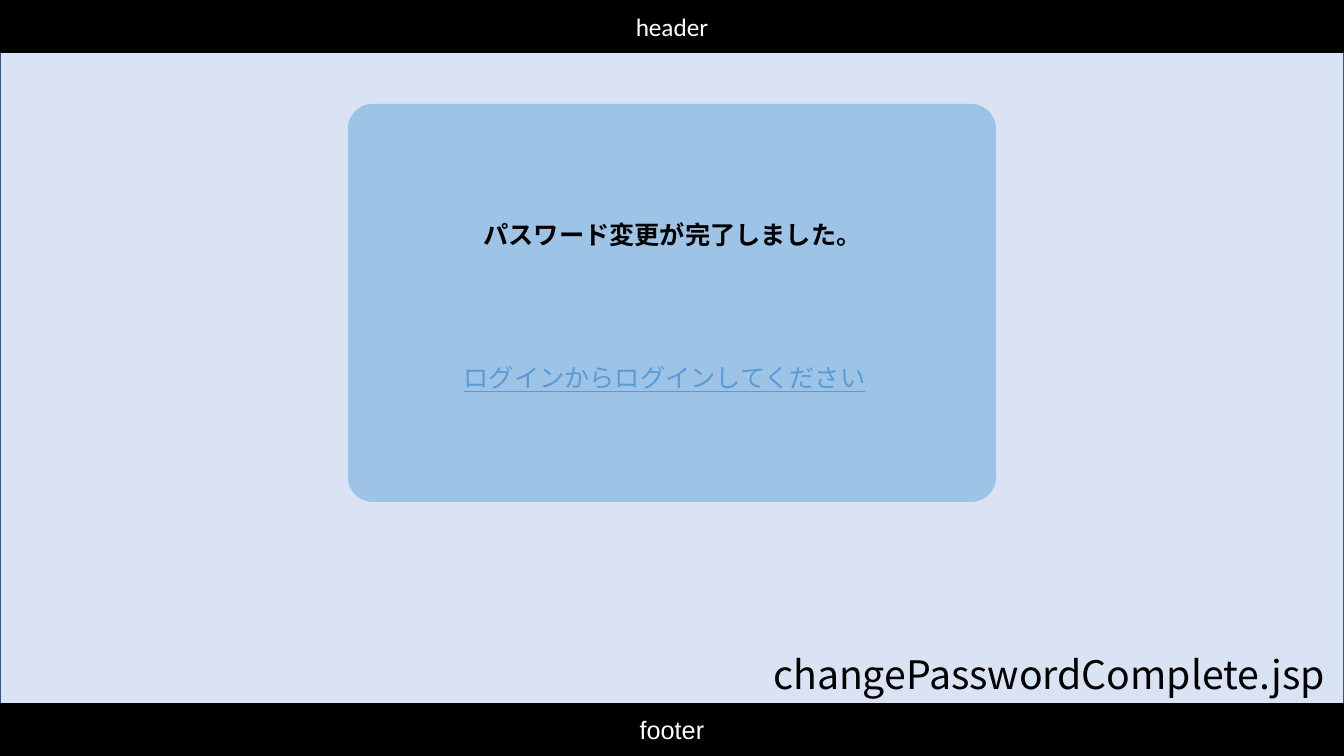
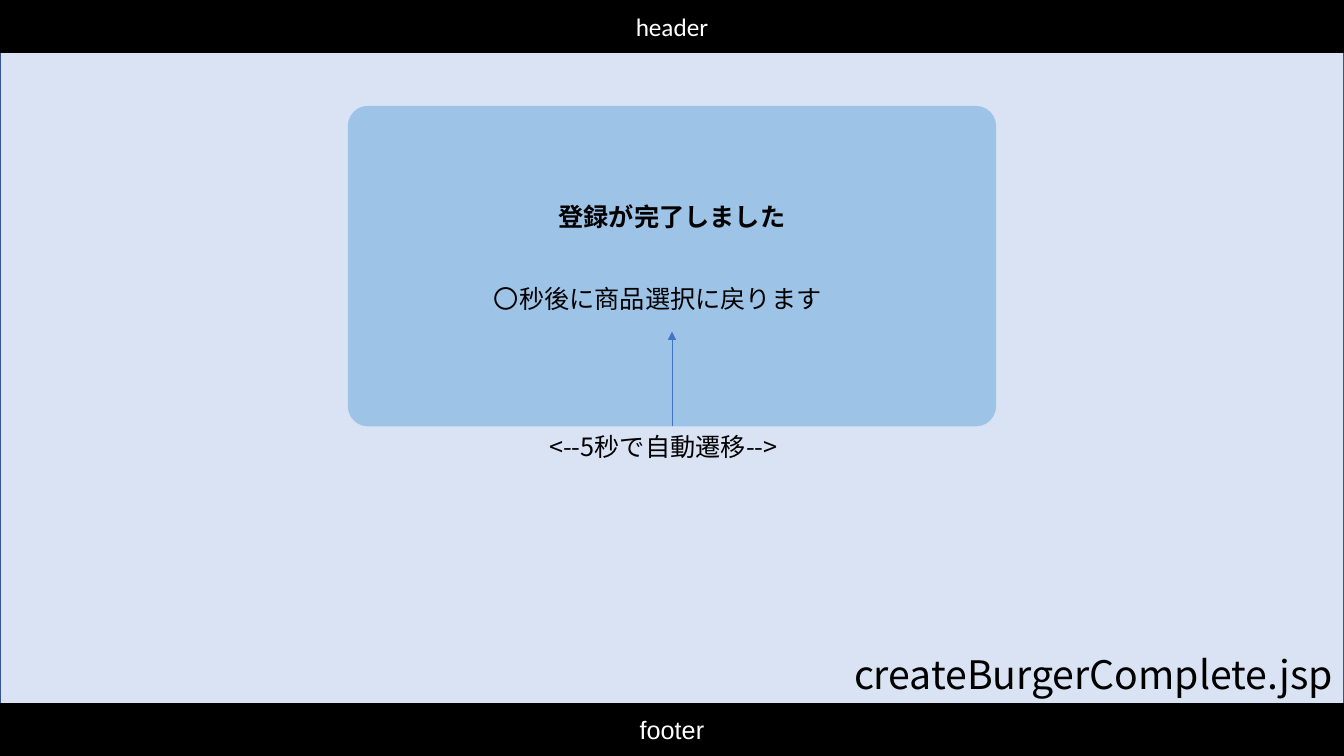
from lxml.etree import SubElement
from pptx import Presentation
from pptx.dml.color import RGBColor
from pptx.enum.shapes import MSO_CONNECTOR, MSO_SHAPE
from pptx.enum.text import MSO_ANCHOR, MSO_AUTO_SIZE, PP_ALIGN
from pptx.oxml.ns import qn
from pptx.util import Inches, Pt

WIDTH, HEIGHT = 13.33, 7.5
BAND = 0.52
CARD = 6.43
BLACK, WHITE = "000000", "FFFFFF"
PAGE, EDGE, PANEL = "DAE3F3", "325491", "9DC3E6"
LINK, ARROW = "5B9BD5", "4472C4"
FONT = "Noto Sans CJK JP"


def color(code):
    return RGBColor.from_string(code)


class Deck:
    def __init__(self):
        self.prs = Presentation()
        self.prs.slide_width = Inches(WIDTH)
        self.prs.slide_height = Inches(HEIGHT)
        self.slide = None

    def page(self, name, width):
        """Start a screen with its page area, bands and file name."""
        self.slide = self.prs.slides.add_slide(self.prs.slide_layouts[5])
        self.box(0, BAND, WIDTH, HEIGHT - 2 * BAND, PAGE, EDGE)
        self.band("header", 0, "Calibri")
        self.band("footer", HEIGHT - BAND, "Arial")
        self.title(name, width)

    def title(self, name, width):
        title = self.slide.shapes.title
        title.left, title.top = Inches(WIDTH - width), Inches(6.4)
        title.width, title.height = Inches(width), Inches(0.57)
        # Bring the title in front of the page area
        title.element.getparent().append(title.element)
        self.label(title, name, size=28)

    def box(self, left, top, width, height, fill, line=None,
            kind=MSO_SHAPE.RECTANGLE):
        shape = self.slide.shapes.add_shape(
            kind, Inches(left), Inches(top), Inches(width), Inches(height))
        shape.shadow.inherit = False
        shape.fill.solid()
        shape.fill.fore_color.rgb = color(fill)
        if line:
            shape.line.color.rgb = color(line)
            shape.line.width = Pt(1)
        else:
            shape.line.fill.background()
        return shape

    def band(self, text, top, font):
        shape = self.box(0, top, WIDTH, BAND, BLACK, BLACK)
        self.label(shape, text, font=font, ink=WHITE, align=PP_ALIGN.CENTER,
                   anchor=MSO_ANCHOR.MIDDLE)

    def card(self, top, height):
        shape = self.box((WIDTH - CARD) / 2, top, CARD, height, PANEL,
                         kind=MSO_SHAPE.ROUNDED_RECTANGLE)
        shape.adjustments[0] = 0.063
        return shape

    def text(self, text, left, top, width, height=0.4, **style):
        shape = self.slide.shapes.add_textbox(
            Inches(left), Inches(top), Inches(width), Inches(height))
        self.label(shape, text, **style)

    def label(self, shape, text, size=18, font=FONT, ink=BLACK, bold=False,
              under=False, align=PP_ALIGN.LEFT, anchor=MSO_ANCHOR.TOP):
        frame = shape.text_frame
        frame.word_wrap = True
        frame.auto_size = MSO_AUTO_SIZE.NONE
        frame.vertical_anchor = anchor
        para = frame.paragraphs[0]
        para.text = text
        para.alignment = align
        face = para.font
        face.size, face.name = Pt(size), font
        face.bold, face.underline = bold, under
        face.color.rgb = color(ink)
        # Japanese glyphs take the East Asian font
        props = para._p.pPr.find(qn("a:defRPr"))
        SubElement(props, qn("a:ea")).set("typeface", font)

    def arrow(self, card, tip):
        """Point up from the bottom of a card."""
        mid = Inches(WIDTH / 2)
        line = self.slide.shapes.add_connector(
            MSO_CONNECTOR.STRAIGHT, mid, card.top + card.height,
            mid, Inches(tip))
        line.begin_connect(card, 2)
        line.line.color.rgb = color(ARROW)
        line.line.width = Pt(0.5)
        props = line.element.spPr
        SubElement(props.find(qn("a:ln")),
                   qn("a:tailEnd")).set("type", "triangle")
        SubElement(props, qn("a:effectLst"))


def main():
    deck = Deck()

    # Password changed
    deck.page("changePasswordComplete.jsp", 5.76)
    deck.card(1.03, 3.95)
    deck.text("パスワード変更が完了しました。", 4.33, 2.13, 4.68, 0.71,
              bold=True, align=PP_ALIGN.CENTER)
    deck.text("ログインからログインしてください", 4.5, 3.55, 4.32,
              ink=LINK, under=True)

    # Burger registered
    deck.page("createBurgerComplete.jsp", 4.96)
    card = deck.card(1.05, 3.18)
    deck.text("登録が完了しました", 3.3, 1.95, 6.73, 0.71,
              bold=True, align=PP_ALIGN.CENTER)
    deck.text("〇秒後に商品選択に戻ります", 4.8, 2.76, 3.74)
    deck.arrow(card, 3.29)
    deck.text("<--5秒で自動遷移-->", 5.35, 4.23, 5.06)

    deck.prs.save("out.pptx")


if __name__ == "__main__":
    main()
